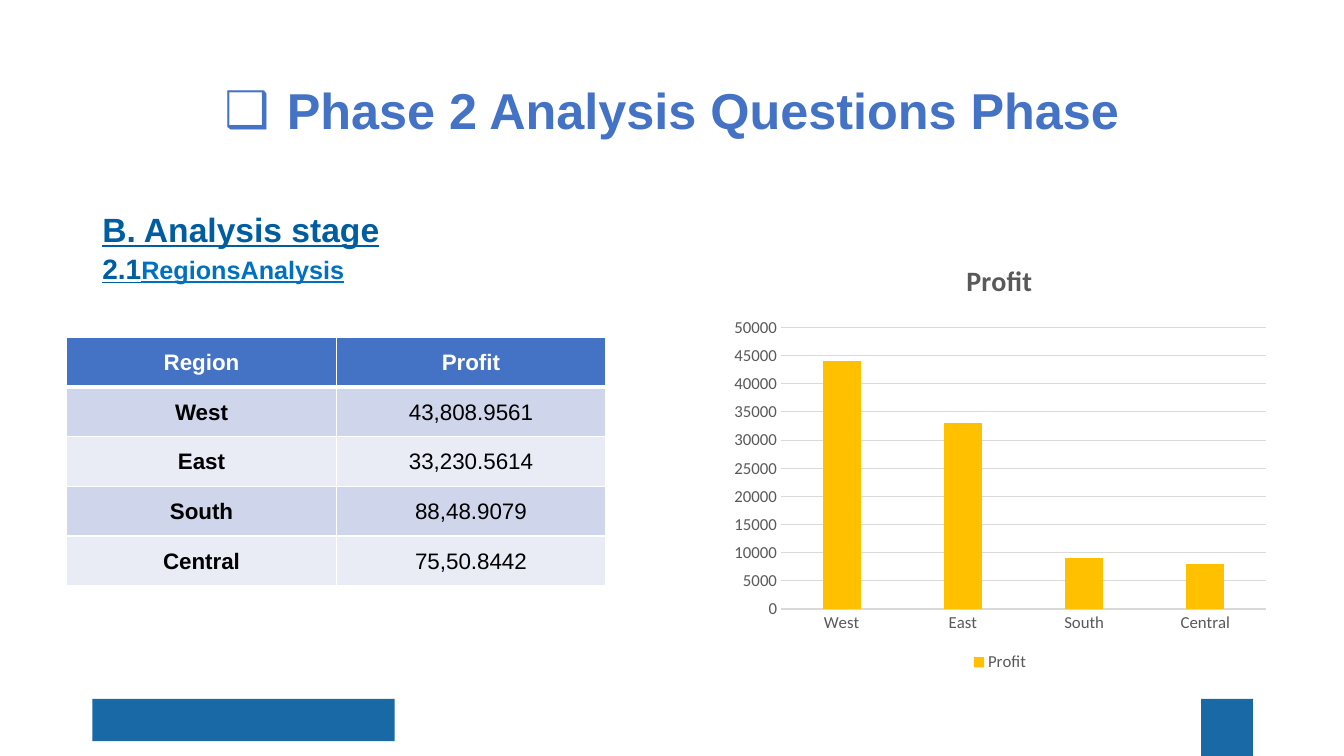
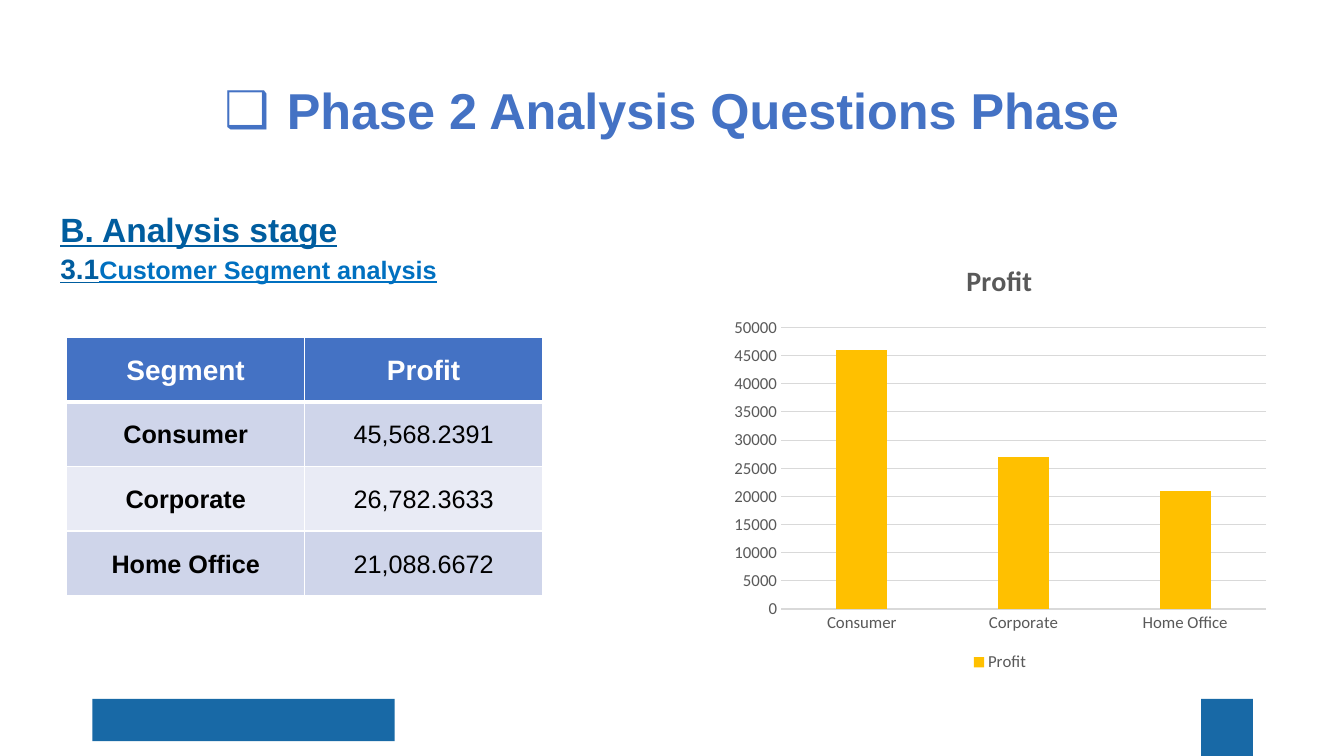
"""Two analysis slides, each with a profit table beside a column chart."""
from lxml import etree
from pptx import Presentation
from pptx.chart.data import CategoryChartData
from pptx.dml.color import RGBColor
from pptx.enum.chart import XL_CHART_TYPE, XL_LEGEND_POSITION, XL_TICK_MARK
from pptx.enum.shapes import MSO_SHAPE
from pptx.enum.text import MSO_ANCHOR, PP_ALIGN
from pptx.oxml import parse_xml
from pptx.oxml.ns import nsdecls, qn
from pptx.util import Inches, Pt

RECTANGLE = MSO_SHAPE.RECTANGLE
COLUMNS = XL_CHART_TYPE.COLUMN_CLUSTERED
LEGEND_BOTTOM = XL_LEGEND_POSITION.BOTTOM
NO_TICKS = XL_TICK_MARK.NONE
MIDDLE = MSO_ANCHOR.MIDDLE
CENTER = PP_ALIGN.CENTER

WHITE = RGBColor(0xFF, 0xFF, 0xFF)
BLACK = RGBColor(0x00, 0x00, 0x00)
BLUE = RGBColor(0x44, 0x72, 0xC4)
BAND_BLUE = RGBColor(0x18, 0x69, 0xA6)
HEADING_BLUE = RGBColor(0x00, 0x5D, 0x9F)
TOPIC_BLUE = RGBColor(0x00, 0x70, 0xC0)
GOLD = RGBColor(0xFF, 0xC0, 0x00)
CHART_TEXT = RGBColor(0x59, 0x59, 0x59)
CHART_LINE = RGBColor(0xD9, 0xD9, 0xD9)
ROW_FILLS = (RGBColor(0xCF, 0xD5, 0xEA), RGBColor(0xE9, 0xEB, 0xF5))

TEXT_FONT = "Arial"
CHART_FONT = "Calibri"
WIDTH, HEIGHT = Inches(13.333), Inches(7.5)

# Frames are percentages of the slide: left, top, width, height.
LEFT, RIGHT = 6.87, 93.13
BANDS = ((LEFT, 92.45, 22.5, 5.6), (89.38, 92.45, 3.85, 7.55))
TITLE_FRAME = (LEFT, 5.33, RIGHT - LEFT, 19.33)
CHART_FRAME = (53.78, 32.15, 41.25, 57.3)
TABLE_LEFT, TABLE_TOP = 4.97, 44.58

PAGES = (
    dict(number="2.1", topic="RegionsAnalysis", text_left=LEFT,
         rows=(("Region", "Profit"), ("West", "43,808.9561"),
               ("East", "33,230.5614"), ("South", "88,48.9079"),
               ("Central", "75,50.8442")),
         profits=(44000, 33000, 9000, 8000),
         column=20.05, row=6.58, head_size=16, size=16),
    dict(number="3.1", topic="Customer Segment analysis", text_left=3.75,
         rows=(("Segment", "Profit"), ("Consumer", "45,568.2391"),
               ("Corporate", "26,782.3633"), ("Home Office", "21,088.6672")),
         profits=(46000, 27000, 21000),
         column=17.7, row=8.56, head_size=20, size=18),
)


def place(left, top, width, height):
    """Turn percentages of the slide into lengths."""
    return (round(WIDTH * left / 100), round(HEIGHT * top / 100),
            round(WIDTH * width / 100), round(HEIGHT * height / 100))


def style(font, size, color, name=TEXT_FONT, bold=False, underline=None):
    """Set the look of a font."""
    font.size, font.name, font.bold = Pt(size), name, bold
    font.color.rgb = color
    font.underline = underline


def add_span(para, text, **look):
    """Add a formatted run to a paragraph."""
    span = para.add_run()
    span.text = text
    style(span.font, **look)


def add_box(page, frame):
    """Add a wrapping text box and return its text frame."""
    words = page.shapes.add_textbox(*place(*frame)).text_frame
    words.word_wrap = True
    return words


def add_bands(page):
    """Add the two blue footer bands."""
    for frame in BANDS:
        band = page.shapes.add_shape(RECTANGLE, *place(*frame))
        band.shadow.inherit = False
        band.fill.solid()
        band.fill.fore_color.rgb = BAND_BLUE
        band.line.fill.background()


def add_title(page, text):
    """Add the centred title with its square bullet."""
    words = add_box(page, TITLE_FRAME)
    words.vertical_anchor = MIDDLE
    para = words.paragraphs[0]
    para.alignment, para.line_spacing = CENTER, 0.9
    settings = para._p.get_or_add_pPr()
    settings.set("marL", str(Inches(0.62)))
    settings.set("indent", str(-Inches(0.62)))
    etree.SubElement(settings, qn("a:buFont")).set("typeface", TEXT_FONT)
    etree.SubElement(settings, qn("a:buChar")).set("char", "❑")
    add_span(para, text, size=36, color=BLUE, bold=True)


def add_heading(page, left, number, topic):
    """Add the stage heading and the numbered topic below it."""
    words = add_box(page, (left, 26.55, RIGHT - left, 14))
    stage, detail = words.paragraphs[0], words.add_paragraph()
    stage.line_spacing = detail.line_spacing = 1.07
    marked = dict(bold=True, underline=True)
    add_span(stage, "B. Analysis stage", size=24, color=HEADING_BLUE, **marked)
    add_span(detail, number, size=20, color=HEADING_BLUE, **marked)
    add_span(detail, topic, size=18, color=TOPIC_BLUE, **marked)


def add_borders(cell, top, bottom):
    """Draw white cell borders with the given top and bottom widths."""
    settings = cell._tc.get_or_add_tcPr()
    for side, width in (("L", 1), ("R", 1), ("T", top), ("B", bottom)):
        settings.append(parse_xml(
            f'<a:ln{side} {nsdecls("a")} w="{Pt(width)}"><a:solidFill>'
            f'<a:srgbClr val="{WHITE}"/></a:solidFill></a:ln{side}>'))


def fill_cell(cell, text, row, fill, **look):
    """Format one table cell and write its text."""
    cell.vertical_anchor = MIDDLE
    cell.margin_left = cell.margin_right = Inches(0.07)
    cell.margin_top = cell.margin_bottom = 0
    add_borders(cell, 3 if row == 1 else 1, 3 if row == 0 else 1)
    cell.fill.solid()
    cell.fill.fore_color.rgb = fill
    para = cell.text_frame.paragraphs[0]
    para.alignment, para.line_spacing = CENTER, 1.07
    para.space_after = Pt(12)
    add_span(para, text, **look)


def add_profit_table(page, rows, column, row, head_size, size):
    """Add the table with a blue header and alternating rows."""
    count = len(rows[0])
    frame = place(TABLE_LEFT, TABLE_TOP, column * count, row * len(rows))
    table = page.shapes.add_table(len(rows), count, *frame).table
    for down, texts in enumerate(rows):
        head = down == 0
        fill = BLUE if head else ROW_FILLS[(down - 1) % 2]
        for across, text in enumerate(texts):
            fill_cell(table.cell(down, across), text, down, fill,
                      size=head_size if head else size,
                      color=WHITE if head else BLACK,
                      bold=head or across == 0)


def set_layout(parent, target, **shares):
    """Fix a chart part at shares of the chart's size."""
    for old in parent.findall(qn("c:layout")):
        parent.remove(old)
    inner = '<c:layoutTarget val="inner"/>' if target else ""
    modes = "".join(f'<c:{axis}Mode val="edge"/>' for axis in "xy")
    sizes = "".join(f'<c:{key} val="{share}"/>' for key, share in shares.items())
    layout = parse_xml(f'<c:layout {nsdecls("c")}><c:manualLayout>{inner}'
                       f'{modes}{sizes}</c:manualLayout></c:layout>')
    parent.insert(0 if target else 1, layout)


def style_axes(chart):
    """Format both axes and the gridlines."""
    small = dict(size=12, color=CHART_TEXT, name=CHART_FONT)
    for axis in (chart.category_axis, chart.value_axis):
        axis.major_tick_mark = axis.minor_tick_mark = NO_TICKS
        style(axis.tick_labels.font, **small)
    scale = chart.value_axis
    scale.minimum_scale, scale.maximum_scale, scale.major_unit = 0, 50000, 5000
    scale.format.line.fill.background()
    for line in (chart.category_axis.format.line,
                 scale.major_gridlines.format.line):
        line.color.rgb, line.width = CHART_LINE, Pt(0.75)


def add_profit_chart(page, names, profits):
    """Add the column chart of profit."""
    data = CategoryChartData(number_format="General")
    data.categories = names
    data.add_series("Profit", profits)
    chart = page.shapes.add_chart(COLUMNS, *place(*CHART_FRAME), data).chart
    style(chart.font, 10, BLACK, name=CHART_FONT)
    chart.has_title = True
    add_span(chart.chart_title.text_frame.paragraphs[0], "Profit",
             size=20, color=CHART_TEXT, name=CHART_FONT, bold=True)
    set_layout(chart.chart_title._element, False, x=0.43, y=0.03)
    set_layout(chart._chartSpace.chart.plotArea, True,
               x=0.105, y=0.195, w=0.875, h=0.65)
    chart.has_legend = True
    chart.legend.position = LEGEND_BOTTOM
    chart.legend.include_in_layout = False
    style(chart.legend.font, 12, CHART_TEXT, name=CHART_FONT)
    style_axes(chart)
    plot = chart.plots[0]
    plot.gap_width, plot.overlap, plot.vary_by_categories = 219, -27, False
    fill = plot.series[0].format.fill
    fill.solid()
    fill.fore_color.rgb = GOLD


def add_page(deck, number, topic, text_left, rows, profits, **table):
    """Add one analysis slide."""
    page = deck.slides.add_slide(deck.slide_layouts[6])
    add_bands(page)
    add_title(page, "Phase 2 Analysis Questions Phase")
    add_heading(page, text_left, number, topic)
    add_profit_chart(page, [name for name, _ in rows[1:]], profits)
    add_profit_table(page, rows, **table)


def main():
    """Build and save the deck."""
    deck = Presentation()
    deck.slide_width, deck.slide_height = WIDTH, HEIGHT
    for content in PAGES:
        add_page(deck, **content)
    deck.save("out.pptx")


if __name__ == "__main__":
    main()
